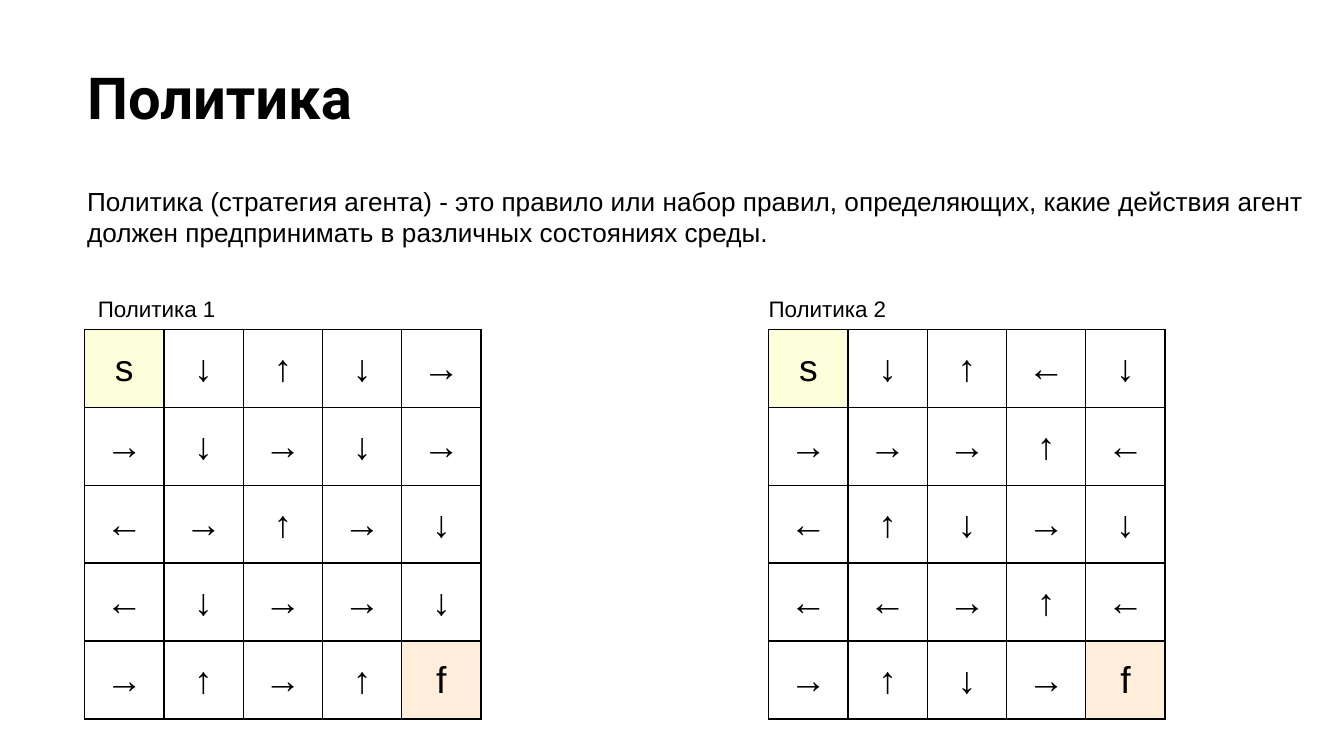
from lxml import etree
from pptx import Presentation
from pptx.dml.color import RGBColor
from pptx.enum.text import MSO_ANCHOR as Anchor, PP_ALIGN as Align
from pptx.oxml.ns import qn
from pptx.util import Inches, Pt


def color(value):
    return RGBColor.from_string(value)


def add_text(left, top, width, height, text, size, font="Arial", bold=False, inset=0.05):
    box = slide.shapes.add_textbox(Inches(left), Inches(top), Inches(width), Inches(height))
    frame = box.text_frame
    frame.word_wrap = True
    frame.margin_top = frame.margin_bottom = Inches(inset)
    frame.text = text
    span = frame.paragraphs[0].runs[0]
    span.font.size = Pt(size)
    span.font.name = font
    span.font.bold = bold
    span.font.color.rgb = color("000000")


# Widescreen 16:9 page
deck = Presentation()
deck.slide_width = Inches(10)
deck.slide_height = Inches(10 * 9 / 16)
slide = deck.slides.add_slide(deck.slide_layouts[6])

# Title and definition
add_text(0.55, 0.36, 9.32, 1.2, "Политика", 31, "Roboto", True, inset=0.1)
add_text(0.55, 1.33, 9.32, 0.57,
         "Политика (стратегия агента) - это правило или набор правил, определяющих, "
         "какие действия агент должен предпринимать в различных состояниях среды.", 14)

# Policy grids: caption, caption left, grid left, rows of moves
policies = [
    ("Политика 1", 0.63, 0.63, ["s↓↑↓→", "→↓→↓→", "←→↑→↓", "←↓→→↓", "→↑→↑f"]),
    ("Политика 2", 5.62, 5.72, ["s↓↑←↓", "→→→↑←", "←↑↓→↓", "←←→↑←", "→↑↓→f"]),
]
cell_fills = {"s": "FCFFD9", "f": "FFEED9"}
cell_width, cell_height = 0.59, 0.58

for caption, caption_left, grid_left, rows in policies:
    size = len(rows)
    frame = slide.shapes.add_table(size, size, Inches(grid_left), Inches(2.45),
                                   Inches(cell_width * size), Inches(cell_height * size))
    table = frame.table
    table.first_row = table.horz_banding = False
    for column in table.columns:
        column.width = Inches(cell_width)
    for row in table.rows:
        row.height = Inches(cell_height)

    for row_index, moves in enumerate(rows):
        for column_index, move in enumerate(moves):
            cell = table.cell(row_index, column_index)
            cell.vertical_anchor = Anchor.MIDDLE
            cell.margin_left = cell.margin_right = cell.margin_top = Inches(0.01)
            cell.margin_bottom = 0
            cell.text_frame.text = move
            para = cell.text_frame.paragraphs[0]
            para.alignment = Align.CENTER
            span = para.runs[0]
            span.font.size = Pt(20)
            span.font.name = "Arial"
            span.font.color.rgb = color("000000")

            # Thin black border on all four sides
            properties = cell._tc.get_or_add_tcPr()
            for side in ("a:lnL", "a:lnR", "a:lnT", "a:lnB"):
                line = etree.SubElement(properties, qn(side), w=str(Pt(0.75)))
                solid = etree.SubElement(line, qn("a:solidFill"))
                etree.SubElement(solid, qn("a:srgbClr"), val="000000")

            # Only the start and finish cells are tinted
            if move in cell_fills:
                cell.fill.solid()
                cell.fill.fore_color.rgb = color(cell_fills[move])
            else:
                cell.fill.background()

    add_text(caption_left, 2.15, 1.17, 0.3, caption, 12)

deck.save("out.pptx")
